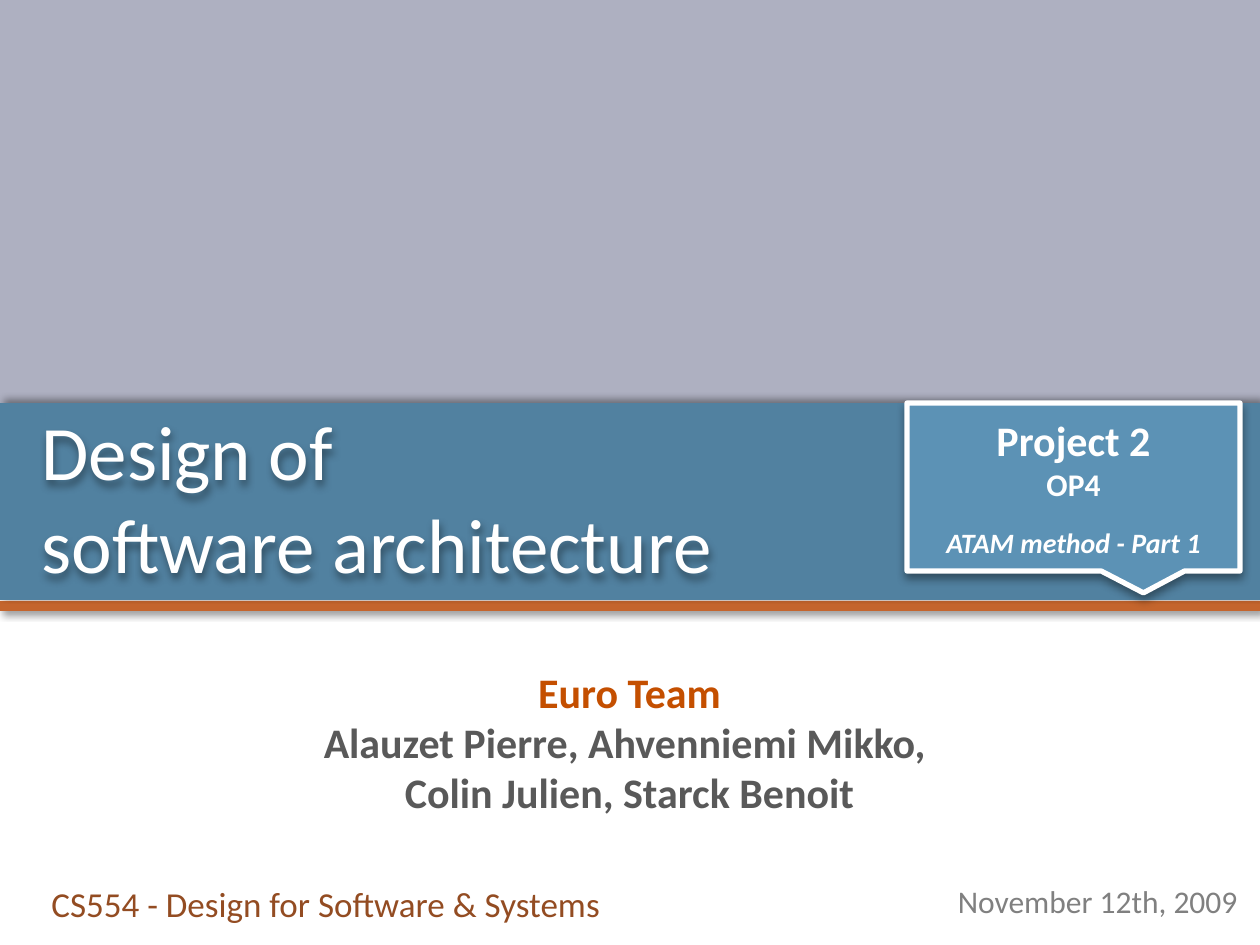
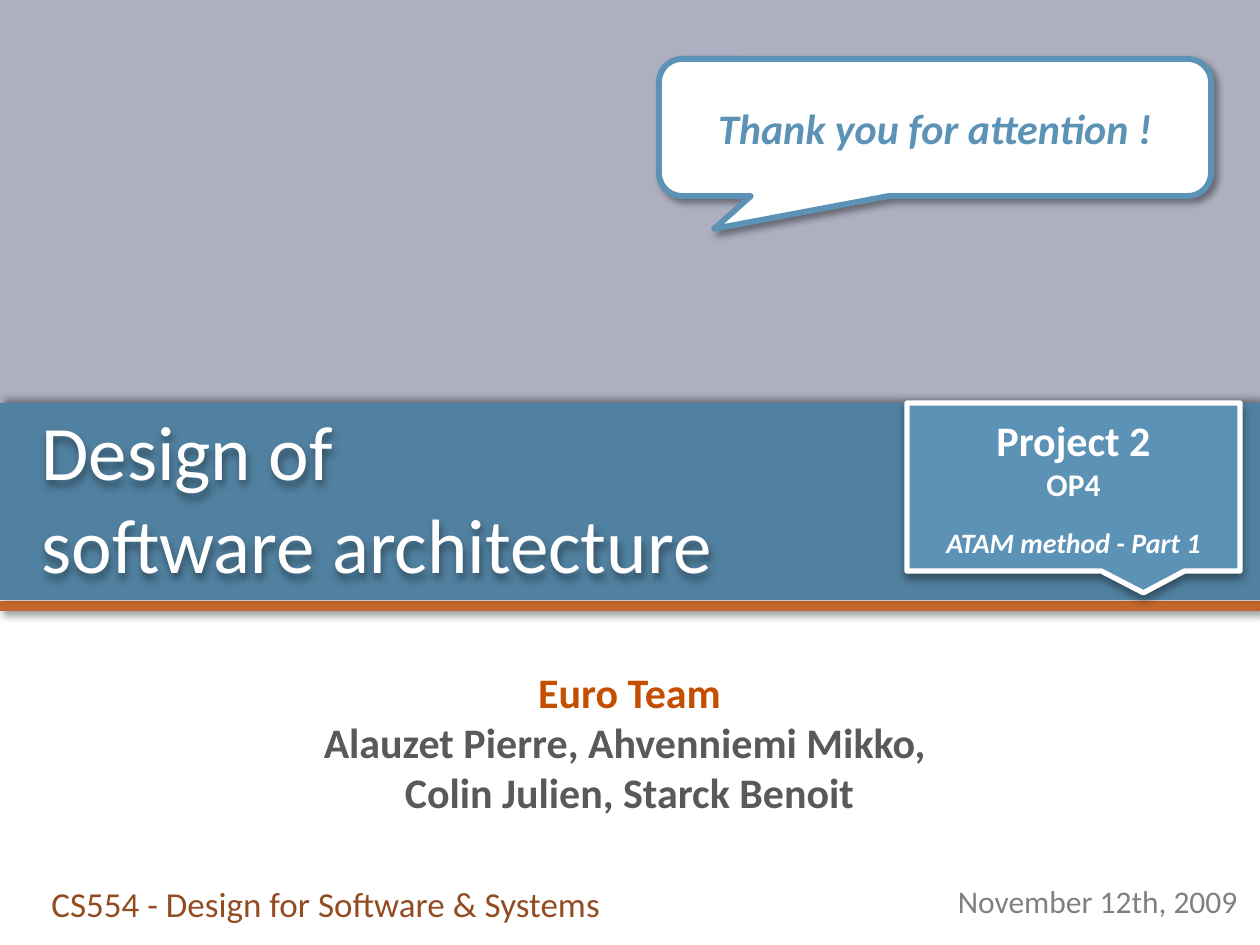
import pptx
import pptx.util
import pptx.dml.color
import pptx.enum.shapes
import pptx.enum.text
import pptx.oxml.ns
from lxml import etree

EMU_PER_PX = 914400 / 126
WIDTH, HEIGHT = 1260, 945
FONT = "Calibri"
COLORS = {
    "sky": "AEB0C1",
    "band": "5181A0",
    "stripe": "C4652D",
    "callout": "5C92B5",
    "white": "FFFFFF",
    "team": "C44F00",
    "names": "595959",
    "course": "934C22",
    "date": "808080",
    "shadow": "000000",
}
SHAPES = pptx.enum.shapes.MSO_SHAPE
ALIGN = pptx.enum.text.PP_ALIGN
ANCHOR = pptx.enum.text.MSO_ANCHOR


def px(length):
    return pptx.util.Emu(round(length * EMU_PER_PX))


def color(name):
    return pptx.dml.color.RGBColor.from_string(COLORS[name])


def add_shadow(shape, angle, blur=4):
    shape.shadow.inherit = False
    effects = shape._element.spPr.find(pptx.oxml.ns.qn("a:effectLst"))
    outer = etree.SubElement(
        effects,
        pptx.oxml.ns.qn("a:outerShdw"),
        blurRad=str(int(pptx.util.Pt(blur))),
        dist=str(int(pptx.util.Pt(3))),
        dir=str(angle * 60000),
        algn="ctr",
        rotWithShape="0",
    )
    tint = etree.SubElement(outer, pptx.oxml.ns.qn("a:srgbClr"), val=COLORS["shadow"])
    etree.SubElement(tint, pptx.oxml.ns.qn("a:alpha"), val="40000")


def add_panel(slide, kind, box, fill, line=None, line_width=0, shadow_angle=None, blur=4):
    shape = slide.shapes.add_shape(kind, *map(px, box))
    shape.fill.solid()
    shape.fill.fore_color.rgb = color(fill)
    if line:
        shape.line.color.rgb = color(line)
        shape.line.width = pptx.util.Pt(line_width)
    else:
        shape.line.fill.background()
    shape.shadow.inherit = False
    if shadow_angle is not None:
        add_shadow(shape, shadow_angle, blur)
    return shape


def write_lines(shape, lines, align, anchor=ANCHOR.TOP):
    frame = shape.text_frame
    frame.word_wrap = True
    frame.vertical_anchor = anchor
    for index, (text, size, ink, bold, italic, gap) in enumerate(lines):
        paragraph = frame.add_paragraph() if index else frame.paragraphs[0]
        paragraph.text = text
        paragraph.alignment = align
        if gap:
            paragraph.space_before = pptx.util.Pt(gap)
        font = paragraph.font
        font.name = FONT
        font.size = pptx.util.Pt(size)
        font.color.rgb = color(ink)
        font.bold = bold
        font.italic = italic


def add_text(slide, box, lines, align=ALIGN.LEFT):
    shape = slide.shapes.add_textbox(*map(px, box))
    write_lines(shape, lines, align)
    return shape


def add_bands(slide):
    add_panel(slide, SHAPES.RECTANGLE, (0, 0, WIDTH, 444), "sky")
    add_panel(slide, SHAPES.RECTANGLE, (0, 601, WIDTH, 10), "stripe", shadow_angle=45)
    add_panel(slide, SHAPES.RECTANGLE, (0, 403, WIDTH, 197), "band", shadow_angle=315)


def add_title(slide):
    title = add_text(
        slide,
        (29, 393, 1189, 227),
        [("Design of \vsoftware architecture", 44, "white", False, False, 0)],
    )
    title.text_frame.margin_top = px(11)
    add_shadow(title, 90)


def add_team(slide):
    add_text(
        slide,
        (29, 660, 1201, 227),
        [
            ("Euro Team", 24, "team", True, False, 0),
            ("Alauzet Pierre, Ahvenniemi Mikko, ", 24, "names", True, False, 0),
            ("Colin Julien, Starck Benoit", 24, "names", True, False, 0),
        ],
        ALIGN.CENTER,
    )


def add_footer(slide):
    add_text(
        slide,
        (886, 876, 364, 49),
        [("November 12th, 2009", 18, "date", False, False, 0)],
        ALIGN.RIGHT,
    )
    add_text(
        slide,
        (39, 876, 728, 69),
        [("CS554 - Design for Software & Systems", 20, "course", False, False, 0)],
    )


def add_callout(slide, kind, box, tip, lines, **style):
    callout = add_panel(slide, kind, box, **style)
    for index, value in enumerate(tip):
        callout.adjustments[index] = value
    write_lines(callout, lines, ALIGN.CENTER, ANCHOR.MIDDLE)


def add_project_callout(slide):
    add_callout(
        slide,
        SHAPES.RECTANGULAR_CALLOUT,
        (907, 403, 333, 168),
        (0.21, 0.63),
        [
            ("Project 2", 24, "white", True, False, 0),
            ("OP4", 18, "white", True, False, 0),
            ("ATAM method - Part 1", 16, "white", True, True, 13),
        ],
        fill="callout",
        line="white",
        line_width=3,
        shadow_angle=90,
        blur=5.2,
    )


def add_thanks_bubble(slide):
    add_callout(
        slide,
        SHAPES.ROUNDED_RECTANGULAR_CALLOUT,
        (659, 59, 552, 137),
        (-0.4, 0.74, 0.17),
        [("Thank you for attention !", 24, "callout", True, True, 0)],
        fill="white",
        line="callout",
        line_width=3.35,
        shadow_angle=45,
    )


def add_cover(presentation):
    slide = presentation.slides.add_slide(presentation.slide_layouts[6])
    add_bands(slide)
    add_team(slide)
    add_title(slide)
    add_footer(slide)
    add_project_callout(slide)
    return slide


def main():
    presentation = pptx.Presentation()
    presentation.slide_width = px(WIDTH)
    presentation.slide_height = px(HEIGHT)
    add_cover(presentation)
    add_thanks_bubble(add_cover(presentation))
    presentation.save("out.pptx")


if __name__ == "__main__":
    main()
